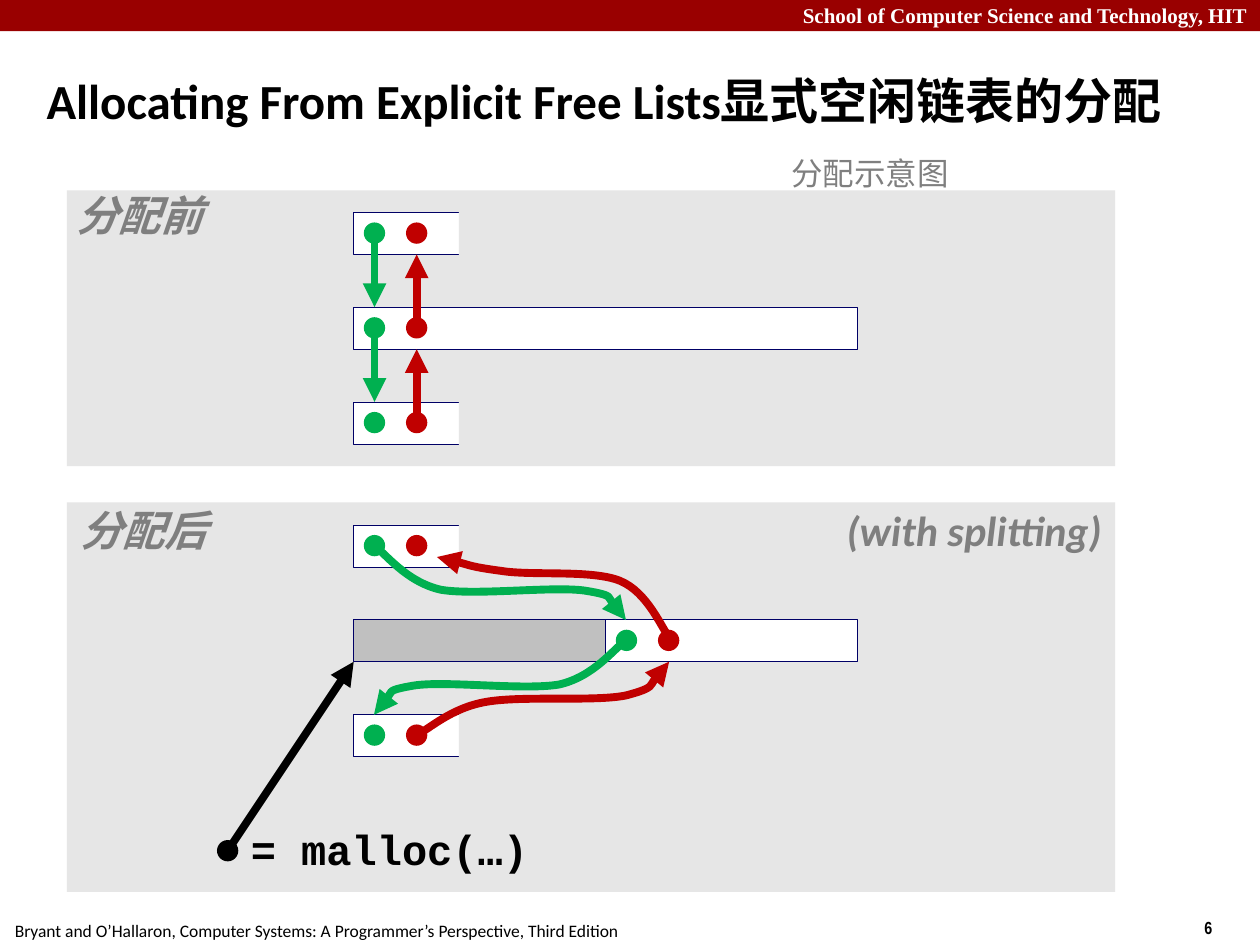
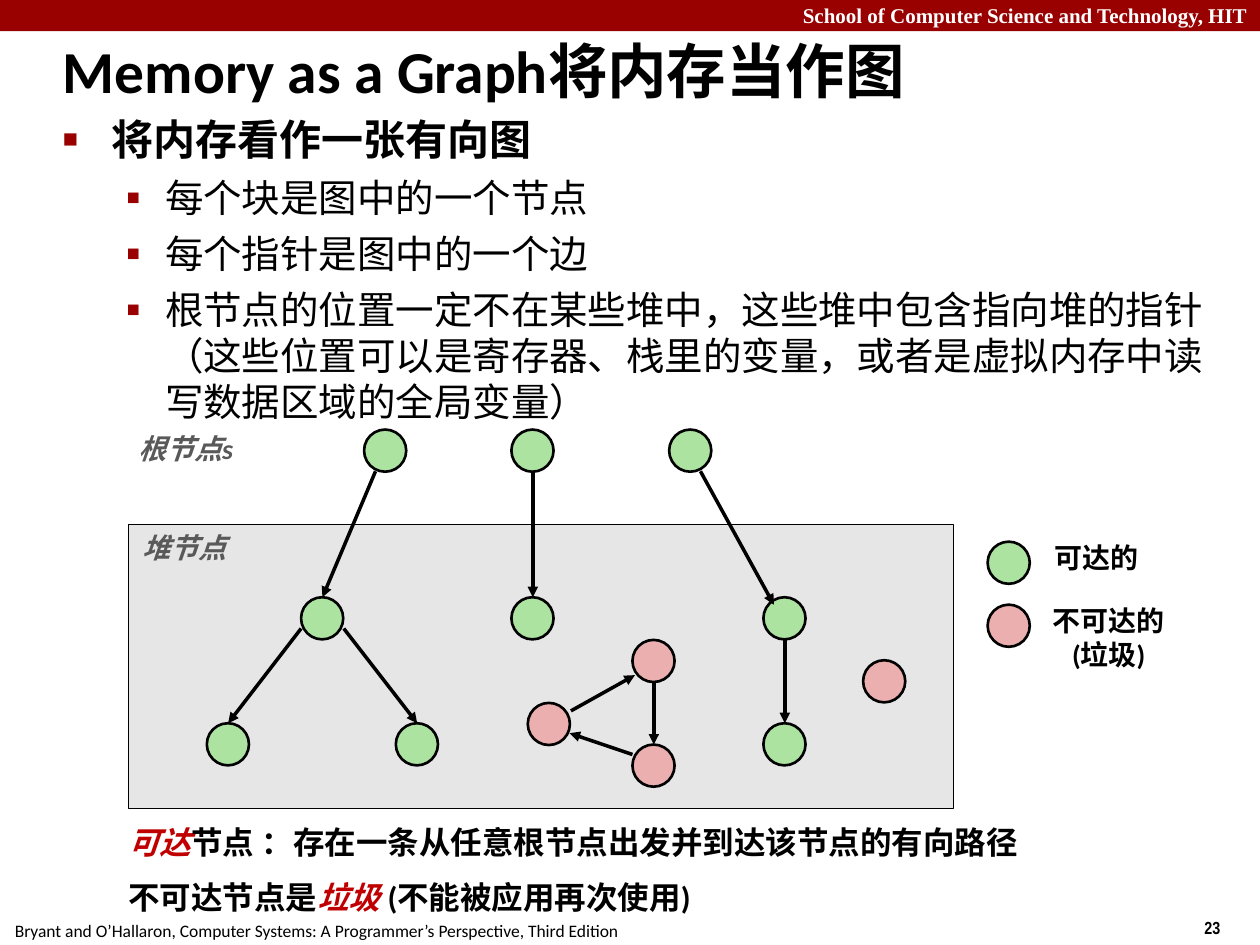
from dataclasses import dataclass
from typing import Optional

from lxml import etree
from pptx import Presentation
from pptx.dml.color import RGBColor
from pptx.enum.shapes import MSO_CONNECTOR, MSO_SHAPE
from pptx.enum.text import MSO_ANCHOR, MSO_AUTO_SIZE, PP_ALIGN
from pptx.oxml.ns import qn
from pptx.util import Cm, Pt

RECT, OVAL = MSO_SHAPE.RECTANGLE, MSO_SHAPE.OVAL
STRAIGHT = MSO_CONNECTOR.STRAIGHT
CENTER, RIGHT = PP_ALIGN.CENTER, PP_ALIGN.RIGHT
MIDDLE = MSO_ANCHOR.MIDDLE
GROW, FIXED = MSO_AUTO_SIZE.SHAPE_TO_FIT_TEXT, MSO_AUTO_SIZE.NONE

BLACK = RGBColor(0, 0, 0)
WHITE = RGBColor(0xFF, 0xFF, 0xFF)
BAND = RGBColor(0x99, 0, 0)
PANEL = RGBColor(0xE6, 0xE6, 0xE6)
USED = RGBColor(0xC0, 0xC0, 0xC0)
NAVY = RGBColor(0, 0, 0x66)
GREEN = RGBColor(0, 0xB0, 0x50)
RED = RGBColor(0xC0, 0, 0)
GREY = RGBColor(0x7F, 0x7F, 0x7F)
SLATE = RGBColor(0x59, 0x59, 0x59)
LIVE = RGBColor(0xAC, 0xE3, 0xA1)
DEAD = RGBColor(0xEB, 0xAF, 0xAF)
SERIF = "Times New Roman"

Spot = tuple[float, float]
Area = tuple[float, float, float, float]


@dataclass(frozen=True)
class Face:
    size: float
    color: RGBColor = BLACK
    bold: bool = True
    ital: bool = False
    name: str = "Calibri"


@dataclass(frozen=True)
class Bullet:
    mark: str
    size: int  # percent of the text size


@dataclass(frozen=True)
class Para:
    """A paragraph; the runs numbered in hot are red and italic."""
    runs: tuple[str, ...]
    face: Face
    align: Optional[PP_ALIGN] = None
    line: float = 1.0
    gap: float = 0
    left: float = 0
    hang: float = 0
    bullet: Optional[Bullet] = None
    hot: tuple[int, ...] = ()


@dataclass(frozen=True)
class Label:
    at: Area
    para: Para
    pad: float = 0.25
    wrap: bool = False


# Shared drawing functions
def write(slide, at: Area, paras: list[Para], pad: float = 0.25,
          wrap: bool = False, grow: bool = True, anchor=None) -> None:
    frame = slide.shapes.add_textbox(*map(Cm, at)).text_frame
    frame.word_wrap = wrap
    frame.auto_size = GROW if grow else FIXED
    frame.margin_left = frame.margin_right = Cm(pad)
    frame.margin_top = frame.margin_bottom = Cm(0.13)
    if anchor is not None:
        frame.vertical_anchor = anchor
    for num, item in enumerate(paras):
        para = frame.add_paragraph() if num else frame.paragraphs[0]
        fill_para(para, item)


def fill_para(para, item: Para) -> None:
    props = para._p.get_or_add_pPr()
    if item.left:
        props.set("marL", str(Cm(item.left)))
        props.set("indent", str(Cm(-item.hang)))
    if item.bullet:
        tint = etree.SubElement(props, qn("a:buClr"))
        etree.SubElement(tint, qn("a:srgbClr"), val=str(BAND))
        etree.SubElement(props, qn("a:buSzPct"), val=str(item.bullet.size * 1000))
        etree.SubElement(props, qn("a:buFont"), typeface=SERIF)
        etree.SubElement(props, qn("a:buChar"), char=item.bullet.mark)
    para.alignment = item.align
    para.line_spacing = item.line
    para.space_before = Pt(item.gap)
    face, font = item.face, para.font
    font.name, font.size = face.name, Pt(face.size)
    font.bold, font.italic = face.bold, face.ital
    if len(item.runs) == 1:
        para.text = item.runs[0]
        font.color.rgb = face.color
        return
    for num, text in enumerate(item.runs):
        run = para.add_run()
        run.text = text
        run.font.italic = num in item.hot
        run.font.color.rgb = RED if num in item.hot else face.color


def put_label(slide, label: Label) -> None:
    write(slide, label.at, [label.para], label.pad, label.wrap)


def draw(slide, kind, at: Area, fill: RGBColor,
         edge: Optional[RGBColor] = None, width: float = 0) -> None:
    shape = slide.shapes.add_shape(kind, *map(Cm, at))
    shape.shadow.inherit = False
    shape.fill.solid()
    shape.fill.fore_color.rgb = fill
    if edge is None:
        shape.line.fill.background()
    else:
        shape.line.color.rgb = edge
        shape.line.width = Pt(width)


def set_line(shape, color: RGBColor, width: float) -> None:
    """Colour a line and put an arrowhead at its end."""
    shape.line.color.rgb = color
    shape.line.width = Pt(width)
    line = shape._element.spPr.find(qn("a:ln"))
    etree.SubElement(line, qn("a:tailEnd"), type="triangle")


def arrow(slide, start: Spot, end: Spot, color: RGBColor, width: float) -> None:
    link = slide.shapes.add_connector(STRAIGHT, *map(Cm, start + end))
    set_line(link, color, width)
    etree.SubElement(link._element.spPr, qn("a:effectLst"))


def curve(slide, spots: list[Spot], color: RGBColor) -> None:
    """Draw a chain of cubic curves: a start, then three spots for each."""
    ends = [(Cm(x), Cm(y)) for x, y in spots]
    form = slide.shapes.build_freeform(*ends[0])
    form.add_line_segments(ends[1:], close=False)
    shape = form.convert_to_shape()
    track = next(shape._element.iter(qn("a:path")))
    steps = track.findall(qn("a:lnTo"))
    for num in range(0, len(steps), 3):
        bend = etree.SubElement(track, qn("a:cubicBezTo"))
        for step in steps[num:num + 3]:
            bend.append(step[0])
            track.remove(step)
    shape.shadow.inherit = False
    shape.fill.background()
    set_line(shape, color, 4.5)


def start_slide(deck, title: str, at: Area, size: float, page: str):
    """Add a slide with the band, the footer and the title."""
    slide = deck.slides.add_slide(deck.slide_layouts[6])
    draw(slide, RECT, (0, 0, 25.4, 0.63), BAND)
    for label in (
        Label((24.03, 18.36, 1.9, 0.69),
              Para((page,), Face(10, name="Arial Narrow"))),
        Label((0, -0.08, 25.4, 0.76),
              Para(("School of Computer Science and Technology, HIT",),
                   Face(12, WHITE, name=SERIF), RIGHT), wrap=True),
        Label((0.05, 18.42, 12.73, 0.69),
              Para(("Bryant and O’Hallaron, Computer Systems: "
                    "A Programmer’s Perspective, Third Edition",),
                   Face(10, bold=False))),
    ):
        put_label(slide, label)
    head = Para((title,), Face(size), line=0.87, left=0.33, hang=0.33)
    write(slide, at, [head], wrap=True, grow=False, anchor=MIDDLE)
    return slide


# Slide with the free lists
LEFT, HIGH, SHORT, LONG = 7.13, 0.85, 2.12, 10.16
STEP = 1.91  # from one block to the next
HALF = LONG / 2
NEXT, PREV, MID, DOT = 0.42, 1.27, 0.42, 0.43


def block(slide, top: float, width: float, left: float = LEFT,
          fill: RGBColor = WHITE) -> None:
    draw(slide, RECT, (left, top, width, HIGH), fill, NAVY, 0.25)


def dot(slide, x: float, y: float, color: RGBColor) -> None:
    draw(slide, OVAL, (x - DOT / 2, y - DOT / 2, DOT, DOT), color)


def add_lists(deck) -> None:
    slide = start_slide(deck, "Allocating From Explicit Free Lists显式空闲链表的分配",
                        (0.69, 1.3, 23.65, 1.6), 28, "6")
    for top, high in ((10.13, 7.85), (3.84, 5.56)):
        draw(slide, RECT, (1.35, top, 21.13, high), PANEL)
    old = [4.28 + STEP * row for row in range(3)]
    new = [10.58 + STEP * row for row in range(3)]

    # Blocks, with covers that trim the right edge of the short ones
    for top in (old[0], old[2], new[0], new[2]):
        block(slide, top, SHORT)
        draw(slide, RECT, (LEFT + SHORT, top - 0.23, 0.85, 1.27), PANEL)
    block(slide, old[1], LONG)
    block(slide, new[1], HALF, LEFT + HALF)
    block(slide, new[1], HALF, fill=USED)

    # Pointers
    for top in old + new:
        left = LEFT + HALF if top == new[1] else LEFT
        dot(slide, left + NEXT, top + MID, GREEN)
        dot(slide, left + PREV, top + MID, RED)
    for top, low in zip(old, old[1:]):
        x, back = LEFT + NEXT, LEFT + PREV
        arrow(slide, (x, top + MID), (x, low), GREEN, 4.5)
        arrow(slide, (back, low + MID), (back, top + HIGH), RED, 4.5)
    down = [(7.54, 11), (7.77, 11.15), (8.18, 11.73), (8.89, 11.89),
            (9.6, 12.01), (11.18, 11.81), (11.81, 11.91),
            (12.42, 12.01), (12.47, 12.37), (12.62, 12.5)]
    curve(slide, down, GREEN)
    curve(slide, [(20.16 - x, y + STEP) for x, y in down], GREEN)
    curve(slide, [(13.51, 12.88), (13.34, 12.67), (13.06, 11.94), (12.5, 11.71),
                  (11.94, 11.48), (10.72, 11.61), (10.11, 11.51),
                  (9.5, 11.43), (9.09, 11.28), (8.81, 11.23)], RED)
    curve(slide, [(8.41, 14.81), (8.64, 14.71), (9.09, 14.27), (9.8, 14.15),
                  (10.52, 14.02), (11.99, 14.15), (12.62, 14.02),
                  (13.23, 13.86), (13.31, 13.49), (13.49, 13.34)], RED)
    dot(slide, 4.59, 17.15, BLACK)
    arrow(slide, (4.59, 17.15), (LEFT, new[1] + HIGH), BLACK, 4.5)

    # Labels
    note = Face(24, GREY, ital=True)
    for text, left, top, width, face in (
        ("分配前", 1.32, 3.81, 3, note),
        ("分配后", 1.4, 10.16, 3, note),
        ("= malloc(…)", 4.8, 16.59, 6.1, Face(24, name="Courier New")),
        ("(with splitting)", 16.84, 10.16, 5.6, note),
    ):
        put_label(slide, Label((left, top, width, 1.17),
                               Para((text,), face, CENTER, 0.9), pad=0.13))
    put_label(slide, Label((15.7, 2.97, 9.19, 1.02),
                           Para(("分配示意图",), Face(18, GREY, False)), wrap=True))


# Slide with the graph
NODES = {
    LIVE: [(7.34, 8.66), (10.31, 8.66), (13.49, 8.66),
           (6.07, 12.04), (10.31, 12.04), (15.39, 12.04),
           (4.17, 14.58), (7.98, 14.58), (15.39, 14.58), (19.91, 10.92)],
    DEAD: [(12.75, 12.9), (12.75, 15.01), (10.64, 14.17), (17.4, 13.31),
           (19.91, 12.19)],
}
EDGES = [
    ((7.57, 9.5), (6.5, 12.04)), ((10.74, 9.5), (10.74, 12.04)),
    ((14.12, 9.5), (15.6, 12.19)), ((6.07, 12.67), (4.6, 14.58)),
    ((6.93, 12.67), (8.41, 14.58)), ((15.82, 12.9), (15.82, 14.58)),
    ((13.18, 13.74), (13.18, 15.01)), ((12.75, 15.21), (11.48, 14.78)),
    ((11.51, 14.33), (12.8, 13.61)),
]
POINTS = (
    "每个块是图中的一个节点",
    "每个指针是图中的一个边",
    "根节点的位置一定不在某些堆中，这些堆中包含指向堆的指针"
    "（这些位置可以是寄存器、栈里的变量，或者是虚拟内存中读写数据区域的全局变量）",
)


def add_graph(deck) -> None:
    slide = start_slide(deck, "Memory as a Graph将内存当作图",
                        (1.02, 0.71, 18.9, 1.6), 34, "23")
    draw(slide, RECT, (2.59, 10.57, 16.64, 5.72), PANEL, BLACK, 0.5)

    # Bulleted text
    lead = Para(("将内存看作一张有向图",), Face(24), line=0.85, gap=12.5,
                left=0.97, hang=0.97, bullet=Bullet("■", 60))
    rest = [Para((text,), Face(22, bold=False), gap=5.6, left=2.06, hang=0.79,
                 bullet=Bullet("▪", 110)) for text in POINTS]
    write(slide, (1.02, 2.31, 23.57, 7.19), [lead, *rest], wrap=True, grow=False)

    # Nodes and edges
    for color, spots in NODES.items():
        for left, top in spots:
            draw(slide, OVAL, (left, top, 0.85, 0.85), color, BLACK, 1.5)
    for start, end in EDGES:
        arrow(slide, start, end, BLACK, 2)

    # Labels and legend
    note, key = Face(16, SLATE, ital=True), Face(16)
    for label in (
        Label((2.54, 8.56, 3, 0.94), Para(("根节点s",), note)),
        Label((2.62, 10.57, 2.5, 0.94), Para(("堆节点",), note)),
        Label((20.85, 12.04, 3, 1.63), Para(("不可达的\n(垃圾)",), key, CENTER)),
        Label((21.01, 10.77, 2.5, 0.94), Para(("可达的",), key)),
    ):
        put_label(slide, label)

    # Closing definitions
    ends = [(("可达", "节点 ：存在一条从任意根节点出发并到达该节点的有向路径"), (0,)),
            (("不可达节点是", "垃圾 ", "(不能被应用再次使用)"), (1,))]
    write(slide, (2.34, 16.51, 20.57, 2.34),
          [Para(runs, Face(18), line=0.95, gap=11.2, left=1.07, hang=1.07, hot=hot)
           for runs, hot in ends], wrap=True, grow=False)


def main() -> None:
    deck = Presentation()
    deck.slide_width, deck.slide_height = Cm(25.4), Cm(19.05)
    add_lists(deck)
    add_graph(deck)
    deck.save("out.pptx")


if __name__ == "__main__":
    main()
